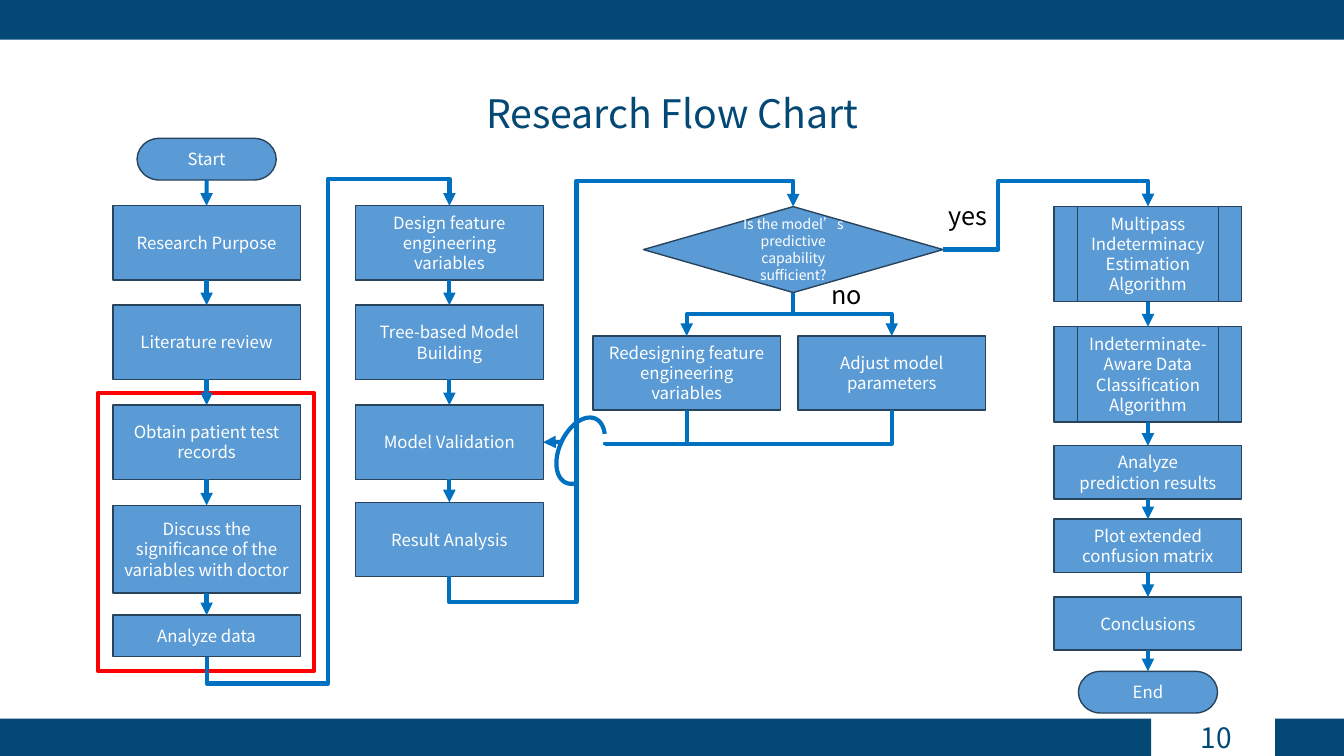
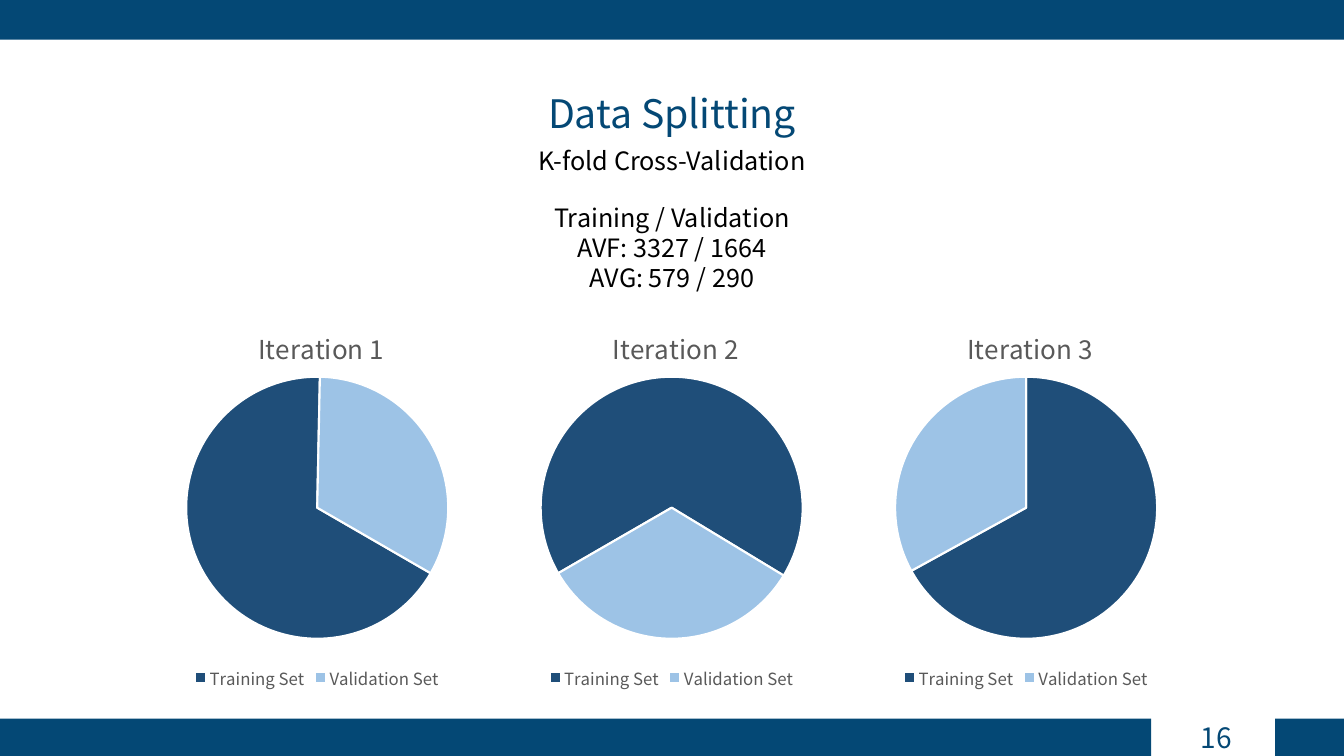
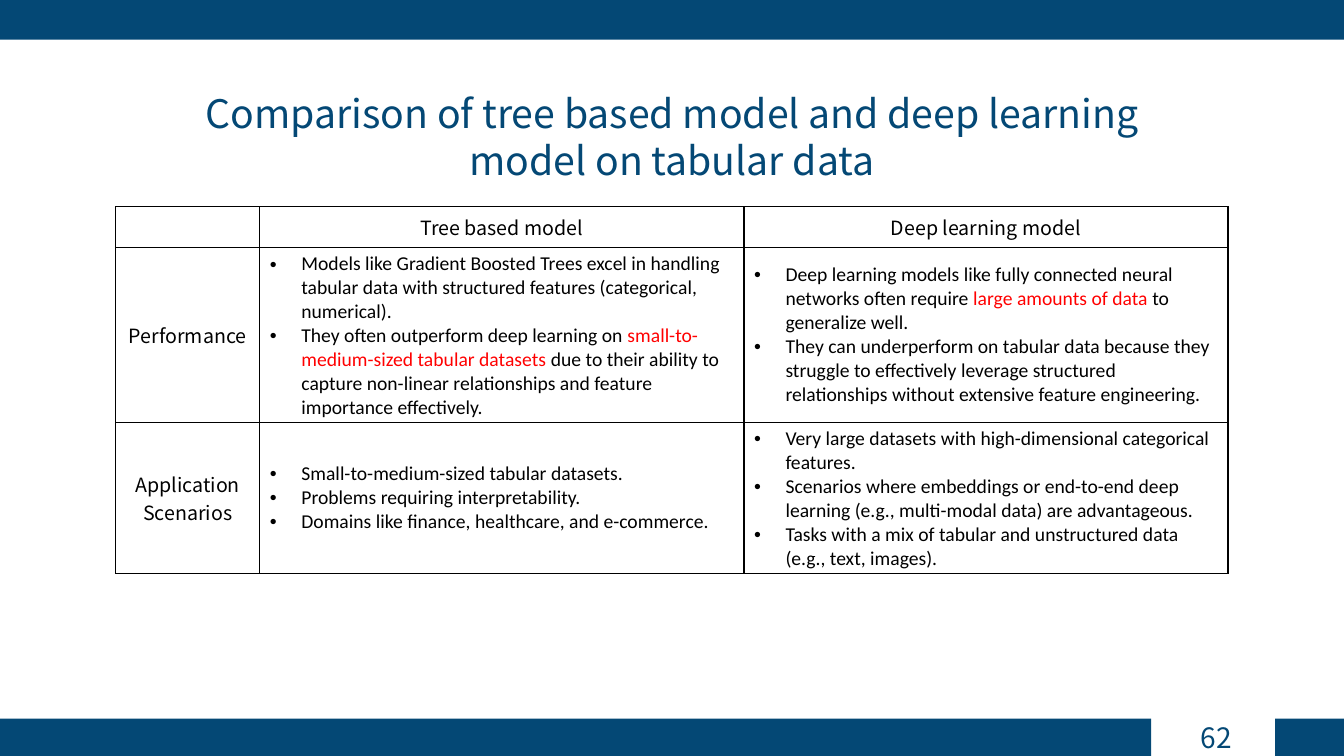
from dataclasses import dataclass
from itertools import pairwise
from typing import Optional, Sequence

from lxml.etree import SubElement
from pptx import Presentation
from pptx.chart.data import CategoryChartData
from pptx.dml.color import RGBColor
from pptx.enum.chart import XL_CHART_TYPE, XL_LEGEND_POSITION
from pptx.enum.shapes import MSO_CONNECTOR as Link, MSO_SHAPE as Preset
from pptx.enum.text import MSO_ANCHOR as Anchor, MSO_AUTO_SIZE, PP_ALIGN as Align
from pptx.oxml.ns import qn
from pptx.util import Pt

NAVY = RGBColor(0x04, 0x48, 0x75)
WHITE = RGBColor(0xFF, 0xFF, 0xFF)
BLACK = RGBColor(0, 0, 0)
GRAY = RGBColor(0x59, 0x59, 0x59)
RED = RGBColor(0xFF, 0, 0)
STEP_FILL = RGBColor(0x5B, 0x9B, 0xD5)
STEP_LINE = RGBColor(0x28, 0x44, 0x5D)
ARROW_BLUE = RGBColor(0x00, 0x70, 0xC0)
SLICE_COLORS = (RGBColor(0x1F, 0x4E, 0x79), RGBColor(0x9D, 0xC3, 0xE6))

SANS = "Noto Sans CJK SC"
BODY = "Calibri"
SLIDE_WIDTH, SLIDE_HEIGHT = 960, 540
TOP, LEFT, BOTTOM, RIGHT = range(4)


@dataclass(frozen=True)
class Box:
    left: float
    top: float
    width: float
    height: float

    def lengths(self) -> tuple:
        return Pt(self.left), Pt(self.top), Pt(self.width), Pt(self.height)


@dataclass(frozen=True)
class Step:
    text: str
    center: float
    top: float
    height: float = 53
    width: float = 134
    preset: Preset = Preset.FLOWCHART_PROCESS
    size: float = 12


@dataclass(frozen=True)
class Fold:
    title: str
    first_angle: int


BANDS = (
    Box(0, 0, SLIDE_WIDTH, 28.4),
    Box(0, 513.4, 822.2, 26.6),
    Box(910.8, 513.4, 49.2, 26.6),
)
PAGE_NUMBER = Box(671, 512.6, 216, 28.8)
SHORT_TITLE = Box(176.4, 60.5, 607.2, 41)
LONG_TITLE = Box(127.2, 60.5, 705.6, 75)

TERMINATOR = {"preset": Preset.FLOWCHART_TERMINATOR, "height": 29.8, "width": 99.4}
SUBROUTINE = {"preset": Preset.FLOWCHART_PREDEFINED_PROCESS, "height": 68}
PREPARE_X, MODEL_X, CHECK_X, REDESIGN_X, ADJUST_X, FINISH_X = 147.6, 321, 566.6, 490.5, 637, 820

PREPARE_STEPS = (
    Step("Start", PREPARE_X, 98.8, **TERMINATOR),
    Step("Research Purpose", PREPARE_X, 147),
    Step("Literature review", PREPARE_X, 218),
    Step("Obtain patient test records", PREPARE_X, 289.4),
    Step("Discuss the significance of the variables with doctor", PREPARE_X, 361, 62.6),
    Step("Analyze data", PREPARE_X, 439.4, 29.6),
)
MODEL_STEPS = (
    Step("Design feature engineering variables", MODEL_X, 147),
    Step("Tree-based Model Building", MODEL_X, 218),
    Step("Model Validation", MODEL_X, 289.4),
    Step("Result Analysis", MODEL_X, 358.8),
)
FINISH_STEPS = (
    Step("Multipass Indeterminacy Estimation Algorithm", FINISH_X, 147.4, **SUBROUTINE),
    Step("Indeterminate-Aware Data Classification Algorithm", FINISH_X, 233.3, **SUBROUTINE),
    Step("Analyze\nprediction results", FINISH_X, 318.4, 38),
    Step("Plot extended confusion matrix", FINISH_X, 370.8, 38),
    Step("Conclusions", FINISH_X, 426.4, 38),
    Step("End", FINISH_X, 479.5, **TERMINATOR),
)
CHECK_STEP = Step("Is the model’s predictive capability sufficient?", CHECK_X, 147.6,
                  61.4, 214, Preset.FLOWCHART_DECISION, 10)
REDESIGN_STEP = Step("Redesigning feature engineering variables", REDESIGN_X, 240)
ADJUST_STEP = Step("Adjust model parameters", ADJUST_X, 240)

FOLDS = (Fold("Iteration 1", 120), Fold("Iteration 2", 240), Fold("Iteration 3", 0))
FIRST_PIE = Box(100, 212.4, 253.2, 283.6)

COLUMN_WIDTHS = (103, 345.8, 345.8)
ROW_HEIGHTS = (29, 125, 108)
TABLE_ORIGIN = (82.6, 147.6)
# Text between bars is highlighted.
COMPARISON = (
    ("", "Tree based model", "Deep learning model"),
    (
        "Performance",
        "Models like Gradient Boosted Trees excel in handling tabular data with structured "
        "features (categorical, numerical).\n"
        "They often outperform deep learning on |small-to-medium-sized tabular datasets |due to "
        "their ability to capture non-linear relationships and feature importance effectively.",
        "Deep learning models like fully connected neural networks often require "
        "|large amounts of data |to generalize well.\n"
        "They can underperform on tabular data because they struggle to effectively leverage "
        "structured relationships without extensive feature engineering.",
    ),
    (
        "Application Scenarios",
        "Small-to-medium-sized tabular datasets.\n"
        "Problems requiring interpretability.\n"
        "Domains like finance, healthcare, and e-commerce.",
        "Very large datasets with high-dimensional categorical features.\n"
        "Scenarios where embeddings or end-to-end deep learning (e.g., multi-modal data) are "
        "advantageous.\n"
        "Tasks with a mix of tabular and unstructured data (e.g., text, images).",
    ),
)


def write_text(frame, text: str, *, size: float, color: RGBColor = BLACK, font: str = SANS,
               align: Align = Align.CENTER, leading: Optional[float] = 1.2,
               bullets: bool = False) -> None:
    """Fill a frame: lines become paragraphs, and bars enclose red runs."""
    for index, line in enumerate(text.split("\n")):
        paragraph = frame.add_paragraph() if index else frame.paragraphs[0]
        paragraph.alignment = align
        if leading:
            paragraph.line_spacing = Pt(size * leading)
        if bullets:
            properties = paragraph._p.get_or_add_pPr()
            properties.set("marL", str(Pt(22.5)))
            properties.set("indent", str(-Pt(22.5)))
            SubElement(properties, qn("a:buFont"), typeface="Arial")
            SubElement(properties, qn("a:buChar"), char="•")
        for position, piece in enumerate(line.split("|")):
            run = paragraph.add_run()
            run.text = piece
            run.font.size = Pt(size)
            run.font.bold = False
            run.font.name = font
            run.font.color.rgb = RED if position % 2 else color
            SubElement(run._r.get_or_add_rPr(), qn("a:ea"), typeface=font)


def add_text(slide, box: Box, text: str, *, anchor: Anchor = Anchor.TOP, **text_format):
    text_box = slide.shapes.add_textbox(*box.lengths())
    text_box.text_frame.word_wrap = True
    text_box.text_frame.vertical_anchor = anchor
    write_text(text_box.text_frame, text, **text_format)


def add_box(slide, preset: Preset, box: Box, *, fill: Optional[RGBColor] = None,
            line: Optional[RGBColor] = None, line_width: float = 1):
    shape = slide.shapes.add_shape(preset, *box.lengths())
    shape.shadow.inherit = False
    if fill is None:
        shape.fill.background()
    else:
        shape.fill.solid()
        shape.fill.fore_color.rgb = fill
    if line is None:
        shape.line.fill.background()
    else:
        shape.line.color.rgb = line
        shape.line.width = Pt(line_width)
    return shape


def add_base_slide(presentation, title: str, number: int, title_box: Box = SHORT_TITLE):
    slide = presentation.slides.add_slide(presentation.slide_layouts[5])
    heading = slide.shapes.title
    heading.left, heading.top, heading.width, heading.height = title_box.lengths()
    frame = heading.text_frame
    frame.auto_size = MSO_AUTO_SIZE.NONE
    frame.word_wrap = True
    frame.vertical_anchor = Anchor.TOP
    write_text(frame, title, size=28, color=NAVY)
    for band in BANDS:
        add_box(slide, Preset.RECTANGLE, band, fill=NAVY)
    add_text(slide, PAGE_NUMBER, str(number), size=20, color=NAVY, align=Align.RIGHT,
             anchor=Anchor.MIDDLE)
    return slide


def add_step(slide, step: Step):
    box = Box(step.center - step.width / 2, step.top, step.width, step.height)
    shape = add_box(slide, step.preset, box, fill=STEP_FILL, line=STEP_LINE)
    shape.text_frame.word_wrap = True
    shape.text_frame.vertical_anchor = Anchor.MIDDLE
    write_text(shape.text_frame, step.text, size=step.size, color=WHITE)
    return shape


def add_link(slide, kind: Link, *, start=None, start_site: int = BOTTOM, end=None,
             end_site: int = TOP, start_point: tuple = (0, 0), end_point: tuple = (0, 0),
             arrow: bool = True):
    """Draw a connector; a shape given as start or end replaces the point."""
    points = (Pt(length) for length in (*start_point, *end_point))
    connector = slide.shapes.add_connector(kind, *points)
    if start is not None:
        connector.begin_connect(start, start_site)
    if end is not None:
        connector.end_connect(end, end_site)
    connector.line.color.rgb = ARROW_BLUE
    connector.line.width = Pt(3)
    if arrow:
        SubElement(connector.line._get_or_add_ln(), qn("a:tailEnd"), type="triangle")
    SubElement(connector._element.spPr, qn("a:effectLst"))
    return connector


def add_elbow(slide, preset: str, adjustments: Sequence[float], *, turned: bool = True,
              **link_format) -> None:
    """Draw a bent connector; a turned one leaves its start vertically."""
    connector = add_link(slide, Link.ELBOW, **link_format)
    across = connector.end_x - connector.begin_x
    down = connector.end_y - connector.begin_y
    properties = connector._element.spPr
    transform = properties.find(qn("a:xfrm"))
    if turned:
        middle_x = connector.begin_x + across // 2
        middle_y = connector.begin_y + down // 2
        connector.width, connector.height = abs(down), abs(across)
        connector.left = middle_x - connector.width // 2
        connector.top = middle_y - connector.height // 2
        opposite = across > 0 and down > 0
        transform.set("rot", str((270 if opposite else 90) * 60000))
        transform.set("flipH", str(int(opposite or down < 0)))
        transform.set("flipV", str(int(across > 0 and not opposite)))
    geometry = properties.find(qn("a:prstGeom"))
    geometry.set("prst", preset)
    guides = geometry.find(qn("a:avLst"))
    for number, value in enumerate(adjustments, 1):
        SubElement(guides, qn("a:gd"), name=f"adj{number}", fmla=f"val {round(value * 100000)}")


def add_column(slide, steps: Sequence[Step]) -> list:
    """Draw a column of steps, each with an arrow to the next."""
    shapes = [add_step(slide, step) for step in steps]
    for upper, lower in pairwise(shapes):
        add_link(slide, Link.STRAIGHT, start=upper, end=lower)
    return shapes


def build_flow_chart(presentation) -> None:
    slide = add_base_slide(presentation, "Research Flow Chart", 10)
    add_box(slide, Preset.RECTANGLE, Box(69.8, 280.8, 154.8, 198.6), line=RED, line_width=3)
    prepare = add_column(slide, PREPARE_STEPS)
    model = add_column(slide, MODEL_STEPS)
    finish = add_column(slide, FINISH_STEPS)
    check, redesign, adjust = (
        add_step(slide, step) for step in (CHECK_STEP, REDESIGN_STEP, ADJUST_STEP)
    )
    validation = model[2]

    add_elbow(slide, "bentConnector5", (-0.06, 0.5, 1.06), start=prepare[-1], end=model[0])
    add_elbow(slide, "bentConnector5", (-0.07, 0.37, 1.07), start=model[-1], end=check)
    add_elbow(slide, "bentConnector4", (0.27, 1.58), turned=False,
              start=check, start_site=RIGHT, end=finish[0])
    for revision in (adjust, redesign):
        add_elbow(slide, "bentConnector3", (0.5,), start=check, end=revision)
        add_elbow(slide, "bentConnector3", (0.98,), start=revision, end_point=(432, 317.4),
                  arrow=False)

    add_link(slide, Link.STRAIGHT, start_point=(401, 315.6), end=validation, end_site=RIGHT)
    bridge = add_box(slide, Preset.ARC, Box(389.6, 306.8, 50.4, 30.2), line=ARROW_BLUE,
                     line_width=3)
    bridge.rotation = 295.1
    for index, degrees in enumerate((162, 30)):
        bridge.adjustments[index] = degrees * 0.6

    add_text(slide, Box(670.4, 139.6, 52.6, 28.8), "yes", size=18, align=Align.LEFT)
    add_text(slide, Box(586.8, 195.8, 61.2, 28.8), "no", size=18, align=Align.LEFT)


def add_layout(parent, position: int, **fractions: float) -> None:
    """Place a chart part by fractions of the chart's size."""
    old_layout = parent.find(qn("c:layout"))
    if old_layout is not None:
        parent.remove(old_layout)
    layout = parent.makeelement(qn("c:layout"), {})
    parent.insert(position, layout)
    manual = SubElement(layout, qn("c:manualLayout"))
    if "w" in fractions:
        SubElement(manual, qn("c:layoutTarget"), val="inner")
    for axis in "xy":
        SubElement(manual, qn(f"c:{axis}Mode"), val="edge")
    for name, value in fractions.items():
        SubElement(manual, qn(f"c:{name}"), val=str(value))


def add_fold_pie(slide, fold: Fold, box: Box) -> None:
    data = CategoryChartData()
    data.categories = ("Training Set", "Validation Set")
    data.add_series("Series 1", (67, 33))
    chart = slide.shapes.add_chart(XL_CHART_TYPE.PIE, *box.lengths(), data).chart
    chart.font.name, chart.font.size = BODY, Pt(10)
    chart.has_title = True
    write_text(chart.chart_title.text_frame, fold.title, size=18.6, color=GRAY, leading=None)
    add_layout(chart.chart_title._element, 1, x=0.32, y=0.06)

    chart.has_legend = True
    legend = chart.legend
    legend.position = XL_LEGEND_POSITION.BOTTOM
    legend.include_in_layout = False
    legend.font.name, legend.font.size = SANS, Pt(12)
    legend.font.color.rgb = GRAY

    plot = chart.plots[0]
    plot.vary_by_categories = True
    for index, color in enumerate(SLICE_COLORS):
        slice_format = plot.series[0].points[index].format
        slice_format.fill.solid()
        slice_format.fill.fore_color.rgb = color
        slice_format.line.color.rgb = WHITE
        slice_format.line.width = Pt(1.5)
    pie = plot._element
    angle = pie.find(qn("c:firstSliceAng"))
    if angle is None:
        angle = SubElement(pie, qn("c:firstSliceAng"))
    angle.set("val", str(fold.first_angle))
    add_layout(pie.getparent(), 0, x=0.13, y=0.2, w=0.74, h=0.66)


def build_data_splitting(presentation) -> None:
    slide = add_base_slide(presentation, "Data Splitting", 16)
    first = FIRST_PIE
    for index, fold in enumerate(FOLDS):
        left = first.left + index * first.width
        add_fold_pie(slide, fold, Box(left, first.top, first.width, first.height))
    add_text(slide, Box(176.4, 100, 607.2, 28.8), "K-fold Cross-Validation", size=18)
    add_text(slide, Box(369, 141, 222, 72.8),
             "Training / Validation\nAVF: 3327 / 1664\nAVG: 579 / 290", size=18)


def add_borders(cell) -> None:
    properties = cell._tc.get_or_add_tcPr()
    for side in "LRTB":
        border = SubElement(properties, qn(f"a:ln{side}"), w=str(Pt(1)))
        fill = SubElement(border, qn("a:solidFill"))
        SubElement(fill, qn("a:srgbClr"), val=str(BLACK))


def build_comparison(presentation) -> None:
    title = "Comparison of tree based model and deep learning model on tabular data"
    slide = add_base_slide(presentation, title, 62, LONG_TITLE)
    box = Box(*TABLE_ORIGIN, sum(COLUMN_WIDTHS), sum(ROW_HEIGHTS))
    table = slide.shapes.add_table(len(ROW_HEIGHTS), len(COLUMN_WIDTHS), *box.lengths()).table
    table.first_row = table.horz_banding = False
    for column, width in zip(table.columns, COLUMN_WIDTHS):
        column.width = Pt(width)
    for row_index, (row, height) in enumerate(zip(table.rows, ROW_HEIGHTS)):
        row.height = Pt(height)
        for column_index, cell in enumerate(row.cells):
            add_borders(cell)
            cell.fill.background()
            cell.vertical_anchor = Anchor.MIDDLE
            text = COMPARISON[row_index][column_index]
            is_body = row_index > 0 and column_index > 0
            if text:
                write_text(cell.text_frame, text, size=14, leading=None, bullets=is_body,
                           font=BODY if is_body else SANS,
                           align=Align.LEFT if is_body else Align.CENTER)


def main() -> None:
    presentation = Presentation()
    presentation.slide_width = Pt(SLIDE_WIDTH)
    presentation.slide_height = Pt(SLIDE_HEIGHT)
    build_flow_chart(presentation)
    build_data_splitting(presentation)
    build_comparison(presentation)
    presentation.save("out.pptx")


if __name__ == "__main__":
    main()
